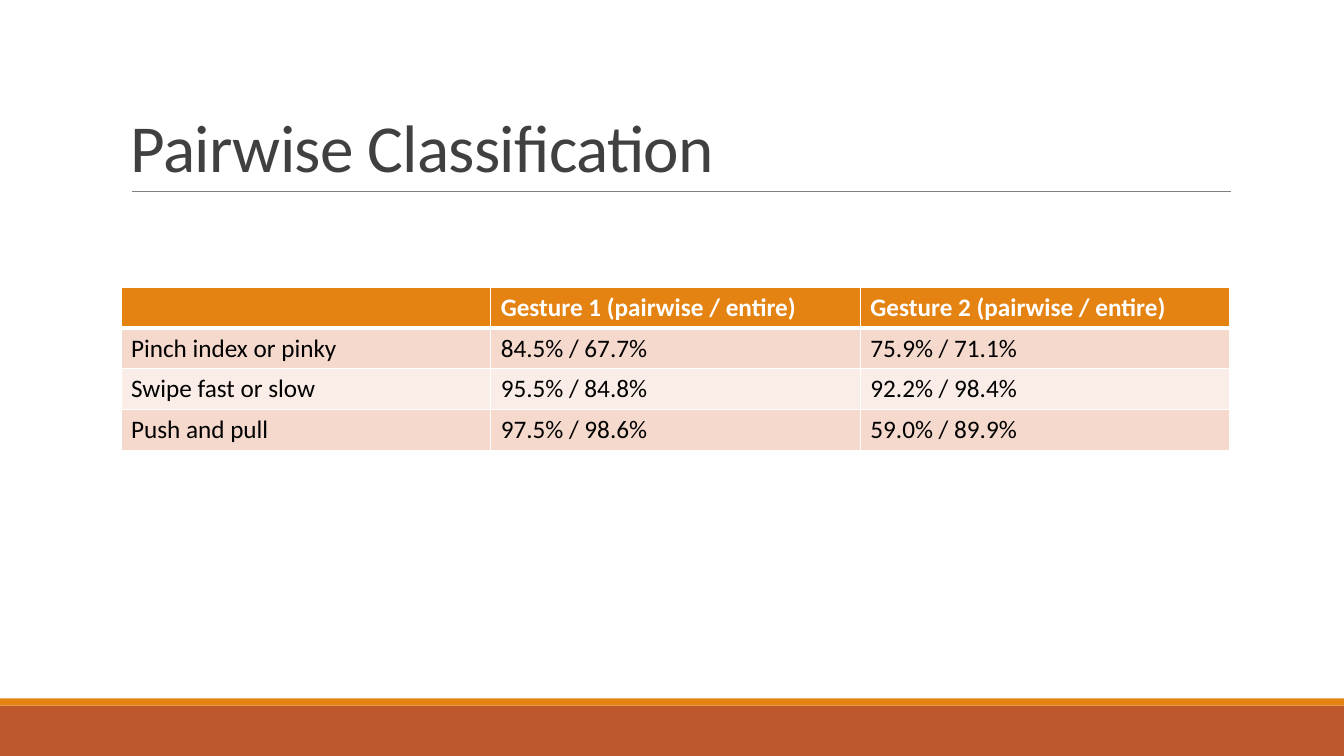
from lxml import etree
from pptx import Presentation
from pptx.dml.color import RGBColor
from pptx.enum.shapes import MSO_CONNECTOR, MSO_SHAPE
from pptx.enum.text import MSO_ANCHOR
from pptx.oxml.ns import qn
from pptx.util import Inches, Pt

RECTANGLE = MSO_SHAPE.RECTANGLE
STRAIGHT = MSO_CONNECTOR.STRAIGHT
BOTTOM = MSO_ANCHOR.BOTTOM

COLORS = {
    "title": "404040",
    "rule": "808080",
    "orange": "E48312",
    "rust": "BD582C",
    "odd_row": "F5D9CC",
    "even_row": "FAEDE7",
    "white": "FFFFFF",
    "black": "000000",
}
FORMATS = {
    "title": {"name": "Calibri", "size": Pt(48), "bold": False},
    "header": {"name": "Calibri", "size": Pt(18), "bold": True},
    "body": {"name": "Calibri", "size": Pt(18), "bold": False},
}
ROWS = [
    ["", "Gesture 1 (pairwise / entire)", "Gesture 2 (pairwise / entire)"],
    ["Pinch index or pinky", "84.5% / 67.7%", "75.9% / 71.1%"],
    ["Swipe fast or slow", "95.5% / 84.8%", "92.2% / 98.4%"],
    ["Push and pull", "97.5% / 98.6%", "59.0% / 89.9%"],
]


def format_text(paragraph, style, color):
    for name, value in FORMATS[style].items():
        setattr(paragraph.font, name, value)
    paragraph.font.color.rgb = RGBColor.from_string(COLORS[color])


def add_border(cell, side, width):
    properties = cell._tc.get_or_add_tcPr()
    line = etree.SubElement(properties, qn(f"a:ln{side}"), w=str(Pt(width)))
    fill = etree.SubElement(line, qn("a:solidFill"))
    etree.SubElement(fill, qn("a:srgbClr"), val=COLORS["white"])


presentation = Presentation()
presentation.slide_width = Inches(13.33)
presentation.slide_height = Inches(7.5)
slide = presentation.slides.add_slide(presentation.slide_layouts[6])

left, content_width = Inches(1.2), Inches(11)

for top, height, color in [(7, 0.5, "rust"), (6.93, 0.07, "orange")]:
    band = slide.shapes.add_shape(
        RECTANGLE, 0, Inches(top), presentation.slide_width, Inches(height)
    )
    band.shadow.inherit = False
    band.fill.solid()
    band.fill.fore_color.rgb = RGBColor.from_string(COLORS[color])
    band.line.fill.background()

rule_height = Inches(1.9)
rule = slide.shapes.add_connector(
    STRAIGHT, Inches(1.31), rule_height, Inches(12.21), rule_height
)
rule.line.color.rgb = RGBColor.from_string(COLORS["rule"])
rule.line.width = Pt(0.5)
etree.SubElement(rule._element.spPr, qn("a:effectLst"))

title = slide.shapes.add_textbox(left, Inches(0.31), content_width, Inches(1.59))
title.text_frame.word_wrap = True
title.text_frame.vertical_anchor = BOTTOM
paragraph = title.text_frame.paragraphs[0]
run = paragraph.add_run()
run.text = "Pairwise Classification"
paragraph.line_spacing = 0.85
format_text(run, "title", "title")
run.font._element.set("spc", "-50")

row_height = Inches(0.405)
table = slide.shapes.add_table(
    len(ROWS), len(ROWS[0]), left, Inches(2.85), content_width, row_height * len(ROWS)
).table

for row, values in enumerate(ROWS):
    table.rows[row].height = row_height
    if row == 0:
        style, text_color, fill_color = "header", "white", "orange"
    else:
        style, text_color = "body", "black"
        fill_color = "odd_row" if row % 2 else "even_row"
    widths = {"L": 1, "R": 1, "T": 3 if row == 1 else 1, "B": 3 if row == 0 else 1}
    for column, value in enumerate(values):
        cell = table.cell(row, column)
        cell.text = value
        format_text(cell.text_frame.paragraphs[0], style, text_color)
        for side, width in widths.items():
            add_border(cell, side, width)
        cell.fill.solid()
        cell.fill.fore_color.rgb = RGBColor.from_string(COLORS[fill_color])

presentation.save("out.pptx")
